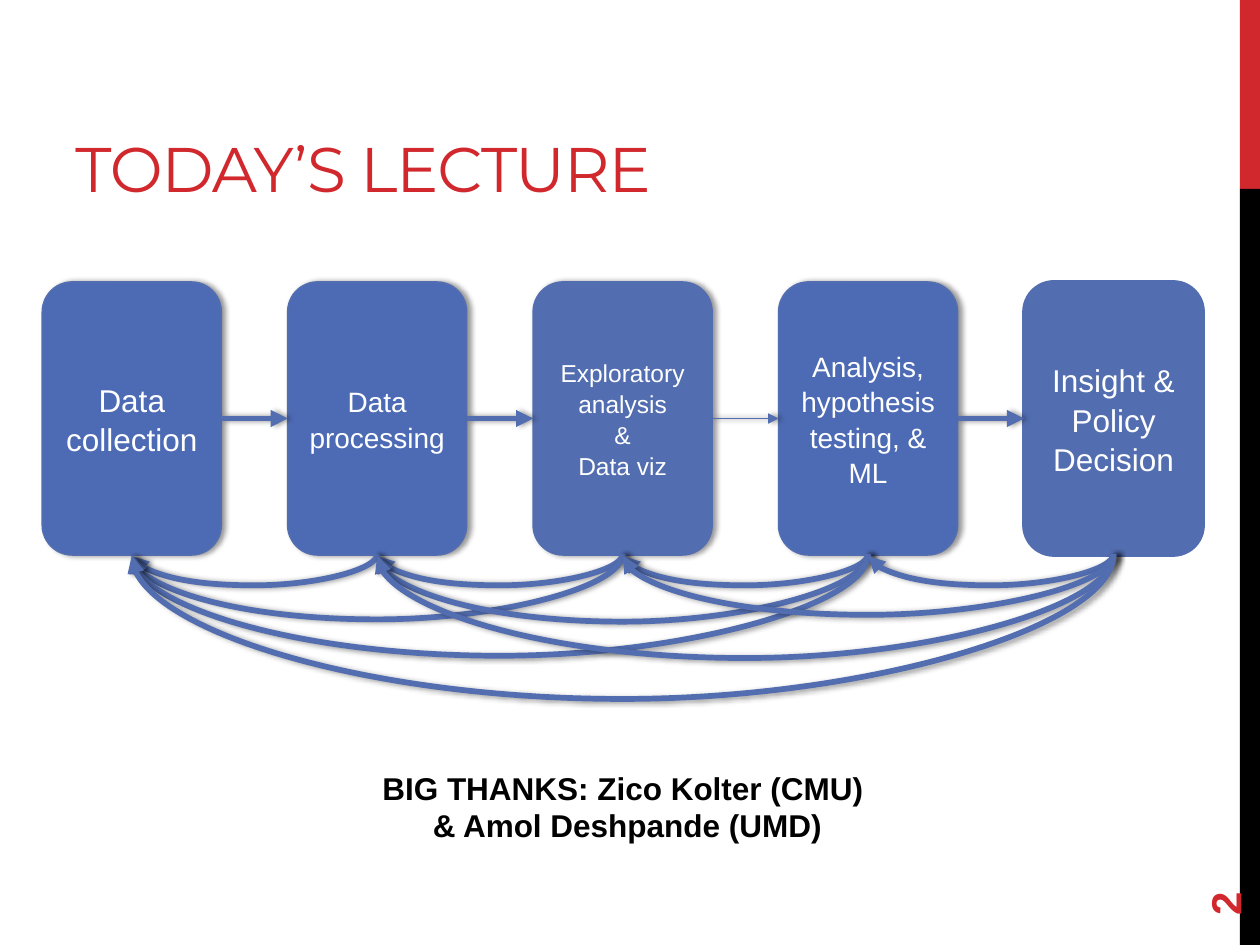
from lxml.etree import SubElement
from pptx import Presentation
from pptx.dml.color import RGBColor
from pptx.enum.shapes import MSO_CONNECTOR as Link, MSO_SHAPE as Preset
from pptx.enum.text import MSO_ANCHOR as Anchor, PP_ALIGN as Align
from pptx.oxml.ns import qn
from pptx.util import Pt

RED = RGBColor(0xD1, 0x28, 0x2E)
BLACK = RGBColor(0x00, 0x00, 0x00)
WHITE = RGBColor(0xFF, 0xFF, 0xFF)
BLUE = RGBColor(0x4D, 0x6B, 0xB5)
SLATE = RGBColor(0x52, 0x6D, 0xB0)

LEFT_SITE, BOTTOM_SITE, RIGHT_SITE = 1, 2, 3

# Stage text, text size, fill, outline width, shadow
STAGES = [
    (["Data collection"], 18, BLUE, 1, True),
    (["Data processing"], 16, BLUE, 1, True),
    (["Exploratory analysis", "&", "Data viz"], 14, SLATE, 1, True),
    (["Analysis, hypothesis testing, & ML"], 16, BLUE, 1, True),
    (["Insight & Policy Decision"], 18, SLATE, 2.25, False),
]
FORWARD_WIDTHS = [3.25, 3.25, 1, 3.25]
# Later stage, earlier stage: depth of the feedback curve below the boxes
FEEDBACK = {
    (1, 0): 18,
    (2, 1): 18, (2, 0): 37.64,
    (3, 2): 18, (3, 1): 38.95, (3, 0): 58.58,
    (4, 3): 18, (4, 2): 35.02, (4, 1): 59.89, (4, 0): 83.46,
}


def write(frame, lines, anchor, align, spacing=None, **font):
    frame.word_wrap = True
    frame.vertical_anchor = anchor
    for index, line in enumerate(lines):
        paragraph = frame.paragraphs[0] if index == 0 else frame.add_paragraph()
        paragraph.alignment = align
        paragraph.line_spacing = spacing
        run = paragraph.add_run()
        run.text = line
        run.font.color.rgb = font["color"]
        for key, value in font.items():
            if key != "color":
                setattr(run.font, key, value)


def add_label(slide, box, lines, anchor, align, **font):
    label = slide.shapes.add_textbox(*map(Pt, box))
    write(label.text_frame, lines, anchor, align, **font)
    return label


def cast_shadow(part):
    effects = SubElement(part._element.spPr, qn("a:effectLst"))
    shadow = SubElement(effects, qn("a:outerShdw"), blurRad=str(Pt(3.15)),
                        dist=str(Pt(1.8)), dir="0", rotWithShape="0")
    tint = SubElement(shadow, qn("a:srgbClr"), val="000000")
    SubElement(tint, qn("a:alpha"), val="40000")


def add_arrow(slide, kind, start, start_site, end, end_site, width):
    arrow = slide.shapes.add_connector(kind, 0, 0, 0, 0)
    arrow.begin_connect(start, start_site)
    arrow.end_connect(end, end_site)
    arrow.line.color.rgb = SLATE
    arrow.line.width = Pt(width)
    SubElement(arrow._element.spPr.find(qn("a:ln")), qn("a:tailEnd"), type="triangle")
    cast_shadow(arrow)
    return arrow


def add_side_bar(slide, left, top, width, height):
    red_height = height / 5
    for y, part_height, color in [(top, red_height, RED),
                                  (top + red_height, height - red_height, BLACK)]:
        band = slide.shapes.add_shape(Preset.RECTANGLE, Pt(left), Pt(y), Pt(width), Pt(part_height))
        band.shadow.inherit = False
        band.fill.solid()
        band.fill.fore_color.rgb = color
        band.line.fill.background()


def add_title(slide, *box):
    title = add_label(slide, box, ["TODAY’S LECTURE"], Anchor.BOTTOM, Align.LEFT,
                      name="Montserrat", size=Pt(36), color=RED)
    title.text_frame.paragraphs[0].runs[0]._r.get_or_add_rPr().set("spc", "-60")


def add_stage(slide, box, lines, size, fill, outline, shadowed):
    stage = slide.shapes.add_shape(Preset.ROUNDED_RECTANGLE, *map(Pt, box))
    stage.fill.solid()
    stage.fill.fore_color.rgb = fill
    stage.line.color.rgb = SLATE
    stage.line.width = Pt(outline)
    if shadowed:
        cast_shadow(stage)
    else:
        stage.shadow.inherit = False
    write(stage.text_frame, lines, Anchor.MIDDLE, Align.CENTER, spacing=1.05,
          name="Arial", size=Pt(size), color=WHITE)
    return stage


def add_feedback(slide, later, earlier, depth):
    curve = add_arrow(slide, Link.CURVE, later, BOTTOM_SITE, earlier, BOTTOM_SITE, 3.25)
    # A one-point-wide curve turned a quarter: its bend is then the depth in points
    span = later.left - earlier.left
    middle = (later.left + earlier.left + later.width) // 2
    bottom = later.top + later.height
    frame = {"left": middle - Pt(0.5), "top": bottom - span // 2, "width": Pt(1), "height": span}
    for key, value in frame.items():
        setattr(curve, key, value)
    properties = curve._element.spPr
    transform = properties.find(qn("a:xfrm"))
    transform.attrib.pop("flipH", None)
    transform.attrib.pop("flipV", None)
    transform.set("rot", "5400000")
    guides = properties.find(qn("a:prstGeom")).find(qn("a:avLst"))
    SubElement(guides, qn("a:gd"), name="adj1", fmla=f"val {round(depth * 100000)}")


def add_pipeline(slide, left, top, width, height):
    stage_width = 102.2
    pitch = (width - stage_width) / (len(STAGES) - 1)
    stages = [add_stage(slide, (left + index * pitch, top, stage_width, height), *stage)
              for index, stage in enumerate(STAGES)]
    # Forward arrows
    for start, end, line_width in zip(stages, stages[1:], FORWARD_WIDTHS):
        add_arrow(slide, Link.STRAIGHT, start, RIGHT_SITE, end, LEFT_SITE, line_width)
    # Feedback curves
    for (later, earlier), depth in FEEDBACK.items():
        add_feedback(slide, stages[later], stages[earlier], depth)


def main():
    deck = Presentation()
    deck.slide_width, deck.slide_height = Pt(720), Pt(540)
    slide = deck.slides.add_slide(deck.slide_layouts[6])

    add_side_bar(slide, 708.5, 0, 11.5, 540)
    add_title(slide, 36, 12, 549.4, 108.5)
    add_pipeline(slide, 24.2, 161.2, 663.2, 155.9)

    # Slide number
    number = add_label(slide, (648, 463.7, 103.7, 28.8), ["2"], Anchor.MIDDLE, Align.LEFT,
                       name="Arial", size=Pt(24), bold=True, color=RED)
    number.rotation = 270

    # Thanks
    add_label(slide, (173.5, 435.6, 365, 51),
              ["BIG THANKS: Zico Kolter (CMU)", " & Amol Deshpande (UMD)"],
              Anchor.TOP, Align.CENTER, name="Arial", size=Pt(18), bold=True, color=BLACK)

    deck.save("out.pptx")


if __name__ == "__main__":
    main()
